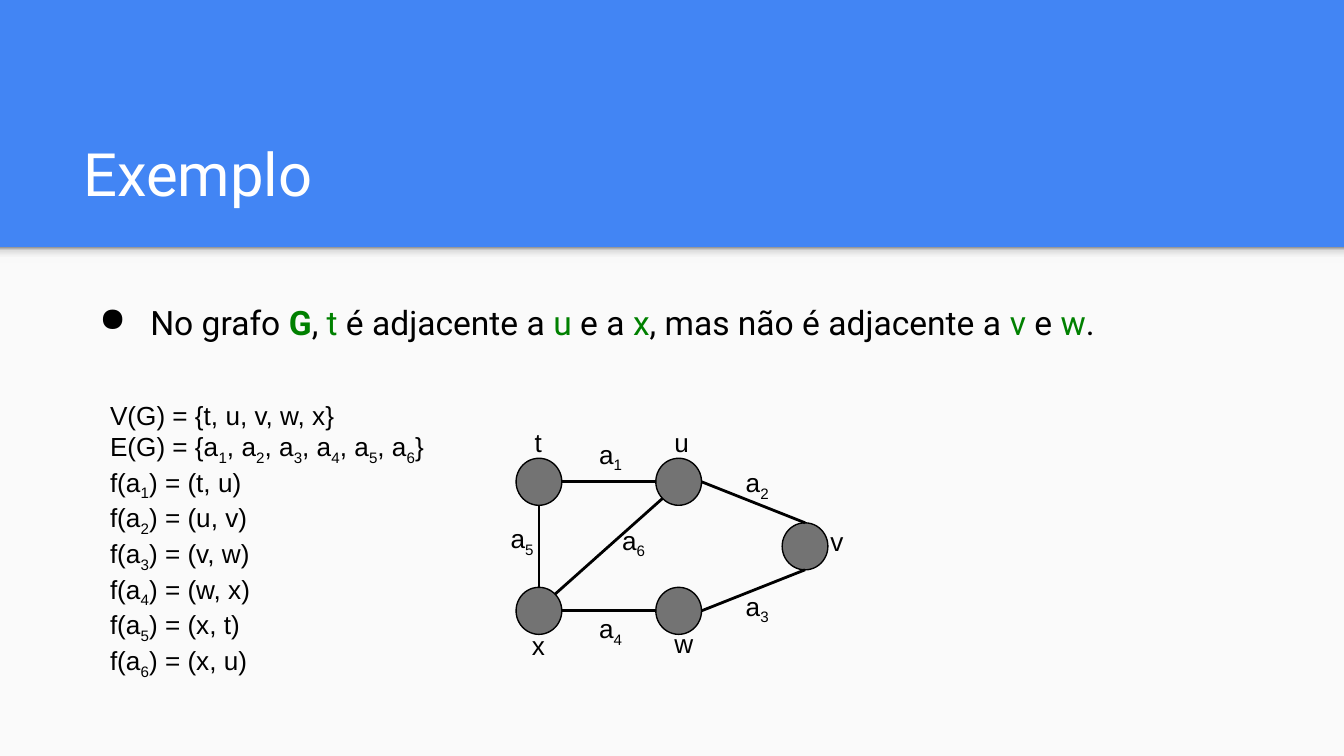
import pptx
import pptx.dml.color
import pptx.enum.shapes
import pptx.enum.text
import pptx.oxml
import pptx.oxml.ns
import pptx.util

# Grid: 100 columns across the slide, square cells
COLUMNS, ROWS = 100, 56.25
CELL = pptx.util.Inches(0.1)
BLACK, WHITE, GREEN = "000000", "FFFFFF", "008000"
NS = pptx.oxml.ns.nsdecls("a")
shape_kinds = pptx.enum.shapes.MSO_SHAPE


def rgb(value):
    return pptx.dml.color.RGBColor.from_string(value)


def add_text(place, lines, size, font, color):
    """Each line is a list of (text, format) runs; returns the text frame."""
    frame = slide.shapes.add_textbox(*[int(n * CELL) for n in place]).text_frame
    frame.word_wrap = True
    for side in ("left", "top", "right", "bottom"):
        setattr(frame, "margin_" + side, CELL)
    for i, line in enumerate(lines):
        paragraph = frame.paragraphs[0] if i == 0 else frame.add_paragraph()
        for text, extra in line:
            run = paragraph.add_run()
            run.text = text
            style = {"size": pptx.util.Pt(size), "name": font, "bold": False, "color": color, **extra}
            run.font.color.rgb = rgb(style.pop("color"))
            # A subscript has no public setter
            if style.pop("subscript", False):
                run.font._element.set("baseline", "-25000")
            for name, value in style.items():
                setattr(run.font, name, value)
    return frame


deck = pptx.Presentation()
deck.slide_width = int(COLUMNS * CELL)
deck.slide_height = int(ROWS * CELL)
slide = deck.slides.add_slide(deck.slide_layouts[6])
slide.background.fill.solid()
slide.background.fill.fore_color.rgb = rgb("4285F4")

# Light content panel, and the shadow under the title band
band = 18.4
for height in (ROWS - band, 1.2):
    panel = slide.shapes.add_shape(shape_kinds.RECTANGLE, 0, int(band * CELL),
                                   deck.slide_width, int(height * CELL))
    panel.shadow.inherit = False
    panel.fill.solid()
    panel.fill.fore_color.rgb = rgb("FAFAFA")
    panel.line.fill.background()
stops = "".join(f'<a:gs pos="{share * 1000}"><a:srgbClr val="{color}"/></a:gs>'
                for share, color in [(0, "F9F9F9"), (36, "F9F9F9"), (80, "DEDEDE"), (100, "999999")])
band_shadow = panel._element.spPr
band_shadow.replace(
    band_shadow.find(pptx.oxml.ns.qn("a:solidFill")),
    pptx.oxml.parse_xml(f'<a:gradFill {NS}><a:gsLst>{stops}</a:gsLst><a:lin ang="16200000" scaled="0"/></a:gradFill>'))

# Title
title = add_text((5.2, 8.1, 89.9, 8.4), [[("Exemplo", {})]], 32, "Roboto", WHITE)
title.vertical_anchor = pptx.enum.text.MSO_ANCHOR.BOTTOM

# Statement: the graph and its vertices stand out in green
green = {"color": GREEN}
statement = [("No grafo ", {}), ("G", {"bold": True, **green}), (", ", {}), ("t", green),
             (" é adjacente a ", {}), ("u", green), (" e a ", {}), ("x", green),
             (", mas não é adjacente a ", {}), ("v", green), (" e ", {}), ("w", green), (".", {})]
bullet_line = add_text((5.2, 21, 89.9, 6.8), [statement], 18, "Roboto", BLACK).paragraphs[0]
bullet_line.line_spacing = 1.15
bullet_format = bullet_line._p.get_or_add_pPr()
for name, inches in {"marL": 0.5, "indent": -0.38}.items():
    bullet_format.set(name, str(pptx.util.Inches(inches)))
for bullet in (f'<a:buClr {NS}><a:srgbClr val="{BLACK}"/></a:buClr>', f'<a:buChar {NS} char="●"/>'):
    bullet_format.append(pptx.oxml.parse_xml(bullet))

# Graph: vertices as centres, edges as (vertex, side) pairs
node_width, node_height = 3.4, 3.5
vertices = {"t": (40.1, 35.85), "u": (50.5, 35.85), "x": (40.1, 45.45), "w": (50.5, 45.45), "v": (59.9, 40.65)}
sides = {"top": (0, -1), "bottom": (0, 1), "left": (-1, 0), "right": (1, 0),
         "top right": (0.71, -0.71), "bottom left": (-0.71, 0.71)}
edges = [
    (("t", "bottom"), ("x", "top")),
    (("t", "right"), ("u", "left")),
    (("u", "right"), ("v", "top")),
    (("x", "right"), ("w", "left")),
    (("w", "right"), ("v", "bottom")),
    (("x", "top right"), ("u", "bottom left")),
]
for x, y in vertices.values():
    node = slide.shapes.add_shape(
        shape_kinds.OVAL, int((x - node_width / 2) * CELL), int((y - node_height / 2) * CELL),
        int(node_width * CELL), int(node_height * CELL))
    node.shadow.inherit = False
    node.fill.solid()
    node.fill.fore_color.rgb = rgb("737373")
    node.line.color.rgb = rgb(BLACK)
    node.line.width = pptx.util.Pt(0.75)
for ends in edges:
    points = []
    for vertex, side in ends:
        x, y = vertices[vertex]
        across, down = sides[side]
        points += [int((x + across * node_width / 2) * CELL), int((y + down * node_height / 2) * CELL)]
    edge = slide.shapes.add_connector(pptx.enum.shapes.MSO_CONNECTOR.STRAIGHT, *points)
    edge.line.color.rgb = rgb(BLACK)
    edge.line.width = pptx.util.Pt(1.5)
    edge._element.spPr.append(pptx.oxml.parse_xml(f"<a:effectLst {NS}/>"))

# Vertex and edge labels
subscript = {"subscript": True}
vertex_labels = {"t": (38.8, 30.7), "u": (49.2, 30.7), "x": (38.6, 45.8), "w": (49.2, 45.7), "v": (60.8, 38.1)}
edge_labels = {"1": (43.6, 31.6), "2": (54.5, 33.7), "3": (54.5, 42.9),
               "4": (43.6, 44.6), "5": (37, 37.9), "6": (45.3, 38)}
for name, corner in vertex_labels.items():
    add_text((*corner, node_width, node_height), [[(name, {})]], 14, "Arial", BLACK)
for number, corner in edge_labels.items():
    add_text((*corner, 4.2, 4.2), [[("a", {}), (number, subscript)]], 14, "Arial", BLACK)

# Formal definition of the graph
edge_set = []
for number in edge_labels:
    edge_set += [("E(G) = {a" if number == "1" else ", a", {}), (number, subscript)]
definition = [[("V(G) = {t, u, v, w, x}", {})], edge_set + [("}", {})]]
for number, pair in zip(edge_labels, ("t, u", "u, v", "v, w", "w, x", "x, t", "x, u")):
    definition.append([("f(a", {}), (number, subscript), (f") = ({pair})", {})])
add_text((7.2, 28.7, 27.9, 24), definition, 14, "Arial", BLACK)

deck.save("out.pptx")
